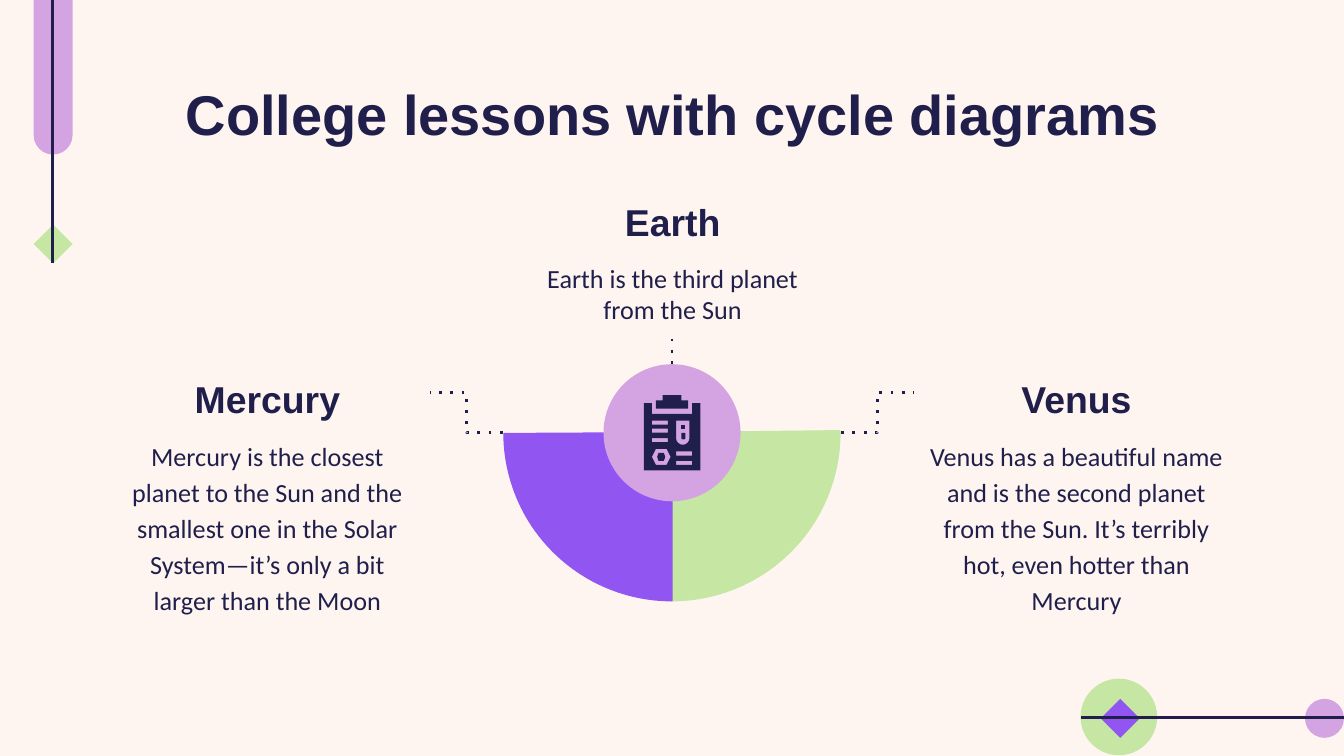
from dataclasses import dataclass
from math import cos, pi, sin

from lxml import etree
from pptx import Presentation
from pptx.dml.color import RGBColor
from pptx.enum.shapes import MSO_CONNECTOR, MSO_SHAPE
from pptx.enum.text import MSO_ANCHOR, MSO_AUTO_SIZE, PP_ALIGN
from pptx.oxml.ns import qn
from pptx.util import Inches, Pt

STRAIGHT, ELBOW = MSO_CONNECTOR.STRAIGHT, MSO_CONNECTOR.ELBOW
OVAL, DIAMOND, PIE = MSO_SHAPE.OVAL, MSO_SHAPE.DIAMOND, MSO_SHAPE.PIE
ROUNDED = MSO_SHAPE.ROUNDED_RECTANGLE
TOP, MIDDLE, BOTTOM = MSO_ANCHOR.TOP, MSO_ANCHOR.MIDDLE, MSO_ANCHOR.BOTTOM
CENTER, FIXED_SIZE = PP_ALIGN.CENTER, MSO_AUTO_SIZE.NONE
TITLE_ONLY = 5


@dataclass(frozen=True)
class Theme:
    cream: str = "FEF5F0"
    navy: str = "201F4B"
    purple: str = "9156F1"
    lilac: str = "D4A4E2"
    green: str = "C6E6A3"
    heading_font: str = "Arial"
    body_font: str = "Calibri"
    title_size: int = 30
    heading_size: int = 20
    body_size: int = 14


THEME = Theme()


def rgb(color):
    return RGBColor.from_string(color)


def format_text(holder, text, *, size=THEME.body_size, font=THEME.body_font,
                bold=False, anchor=TOP, spacing=1.0):
    frame = holder.text_frame
    frame.word_wrap = True
    frame.auto_size = FIXED_SIZE
    frame.vertical_anchor = anchor
    frame.margin_left = frame.margin_right = Inches(0.1)
    frame.margin_top = frame.margin_bottom = Inches(0.1)
    frame.text = text
    paragraph = frame.paragraphs[0]
    paragraph.alignment = CENTER
    paragraph.line_spacing = spacing
    paragraph.space_before = Pt(0)
    style = paragraph.runs[0].font
    style.size, style.name, style.bold = Pt(size), font, bold
    style.color.rgb = rgb(THEME.navy)


def add_text(slide, box, text, **text_format):
    holder = slide.shapes.add_textbox(*map(Inches, box))
    format_text(holder, text, **text_format)


def paint(shape, color, outlined=False):
    shape.shadow.inherit = False
    shape.fill.solid()
    shape.fill.fore_color.rgb = rgb(color)
    if outlined:
        shape.line.color.rgb = rgb(color)
        shape.line.width = Pt(0.75)
    else:
        shape.line.fill.background()


def add_preset(slide, kind, box, color, adjustments=(), outlined=False):
    shape = slide.shapes.add_shape(kind, *map(Inches, box))
    for index, value in enumerate(adjustments):
        shape.adjustments[index] = value
    paint(shape, color, outlined)


def add_line(slide, start, end, kind=STRAIGHT, dotted=False):
    line = slide.shapes.add_connector(kind, *map(Inches, (*start, *end)))
    line.line.color.rgb = rgb(THEME.navy)
    line.line.width = Pt(1.5)
    properties = line._element.spPr
    if dotted:
        stroke = properties.find(qn("a:ln"))
        etree.SubElement(stroke, qn("a:prstDash"), val="dot")
    etree.SubElement(properties, qn("a:effectLst"))


def add_outline(slide, contours, color):
    """Draw closed contours as one shape; inner contours become holes."""
    def to_emu(points):
        return [(Inches(x), Inches(y)) for x, y in points]

    first, *holes = map(to_emu, contours)
    builder = slide.shapes.build_freeform(*first[0])
    builder.add_line_segments(first[1:], close=True)
    for hole in holes:
        builder.move_to(*hole[0])
        builder.add_line_segments(hole[1:], close=True)
    paint(builder.convert_to_shape(), color)


def rectangle(left, top, right, bottom):
    return [(left, top), (right, top), (right, bottom), (left, bottom)]


def hexagon(center_x, center_y, half_width, half_height, half_edge):
    return [(center_x + side * (half_edge if level else half_width),
             center_y + level * half_height)
            for side, level in ((-1, 0), (-1, -1), (1, -1),
                                (1, 0), (1, 1), (-1, 1))]


def tube(left, top, right, shoulder, depth):
    """Return a straight-sided tube with a rounded bottom."""
    center, radius = (left + right) / 2, (right - left) / 2
    bottom = [(center + radius * cos(step * pi / 8),
               shoulder + depth * sin(step * pi / 8)) for step in range(9)]
    return [(left, top), (right, top), *bottom]


def add_clipboard(slide):
    board = [(5.15, 3), (5.15, 3.08), (4.85, 3.08), (4.85, 3),
             (4.79, 3), (4.79, 3.5), (5.21, 3.5), (5.21, 3)]
    clip = [(4.93, 2.94), (5.07, 2.94), (5.07, 2.98), (5.12, 2.98),
            (5.12, 3.04), (4.88, 3.04), (4.88, 2.98), (4.93, 2.98)]
    left_lines = [rectangle(4.85, y, 4.97, y + 0.03) for y in (3.13, 3.19, 3.26)]
    right_lines = [rectangle(5.03, y, 5.15, y + 0.03) for y in (3.36, 3.43)]
    add_outline(slide, [board, tube(5.03, 3.13, 5.13, 3.26, 0.05),
                        hexagon(4.92, 3.4, 0.07, 0.06, 0.04),
                        *left_lines, *right_lines], THEME.navy)
    for part in (clip, tube(5.07, 3.22, 5.1, 3.26, 0.01),
                 rectangle(5.07, 3.16, 5.1, 3.19),
                 hexagon(4.92, 3.4, 0.03, 0.03, 0.02)):
        add_outline(slide, [part], THEME.navy)


def add_corner_ornaments(slide):
    add_preset(slide, OVAL, (8.04, 5.05, 0.57, 0.57), THEME.green)
    add_preset(slide, DIAMOND, (8.19, 5.2, 0.29, 0.29), THEME.purple)
    add_preset(slide, OVAL, (9.71, 5.2, 0.29, 0.29), THEME.lilac)
    add_line(slide, (8.04, 5.34), (10, 5.34))
    add_preset(slide, ROUNDED, (0.25, -0.2, 0.29, 1.35), THEME.lilac, [0.5])
    add_preset(slide, DIAMOND, (0.25, 1.67, 0.29, 0.29), THEME.green)
    add_line(slide, (0.39, 0), (0.39, 1.96))


def add_planet(slide, name, description, left, width, *, name_top, text_top,
               text_height, anchor, spacing):
    add_text(slide, (left, name_top, width, 0.61), name, bold=True,
             size=THEME.heading_size, font=THEME.heading_font,
             anchor=anchor, spacing=1.15)
    add_text(slide, (left, text_top, width, text_height), description,
             spacing=spacing)


def add_cycle(slide):
    def angle(degrees):
        """Convert to the pie's adjustment unit."""
        return degrees * 0.6

    for color, start, end in ((THEME.green, 359.35, 90),
                              (THEME.purple, 90, 179.7)):
        add_preset(slide, PIE, (3.75, 1.97, 2.5, 2.5), color,
                   [angle(start), angle(end)], outlined=True)
    for inner, outer in ((3.74, 3.2), (6.26, 6.8)):
        add_line(slide, (inner, 3.22), (outer, 2.92), ELBOW, dotted=True)
    add_preset(slide, OVAL, (4.49, 2.71, 1.02, 1.02), THEME.lilac)
    add_clipboard(slide)
    add_line(slide, (5, 2.52), (5, 2.71), dotted=True)


def main():
    deck = Presentation()
    deck.slide_width = Inches(10)
    deck.slide_height = deck.slide_width * 9 // 16
    slide = deck.slides.add_slide(deck.slide_layouts[TITLE_ONLY])
    slide.background.fill.solid()
    slide.background.fill.fore_color.rgb = rgb(THEME.cream)

    add_corner_ornaments(slide)
    title = slide.shapes.title
    title.left, title.top = Inches(0.79), Inches(0.49)
    title.width, title.height = Inches(8.43), Inches(0.63)
    format_text(title, "College lessons with cycle diagrams", bold=True,
                size=THEME.title_size, font=THEME.heading_font)

    add_planet(slide, "Earth", "Earth is the third planet from the Sun",
               3.85, 2.31, name_top=1.32, text_top=1.85, text_height=0.67,
               anchor=MIDDLE, spacing=1.0)
    side_planets = (
        ("Venus", "Venus has a beautiful name and is the second planet from "
         "the Sun. It’s terribly hot, even hotter than Mercury", 6.8),
        ("Mercury", "Mercury is the closest planet to the Sun and the smallest "
         "one in the Solar System—it’s only a bit larger than the Moon", 0.78),
    )
    for name, description, left in side_planets:
        add_planet(slide, name, description, left, 2.42, name_top=2.62,
                   text_top=3.14, text_height=1.52, anchor=BOTTOM, spacing=1.15)
    add_cycle(slide)
    deck.save("out.pptx")


if __name__ == "__main__":
    main()
